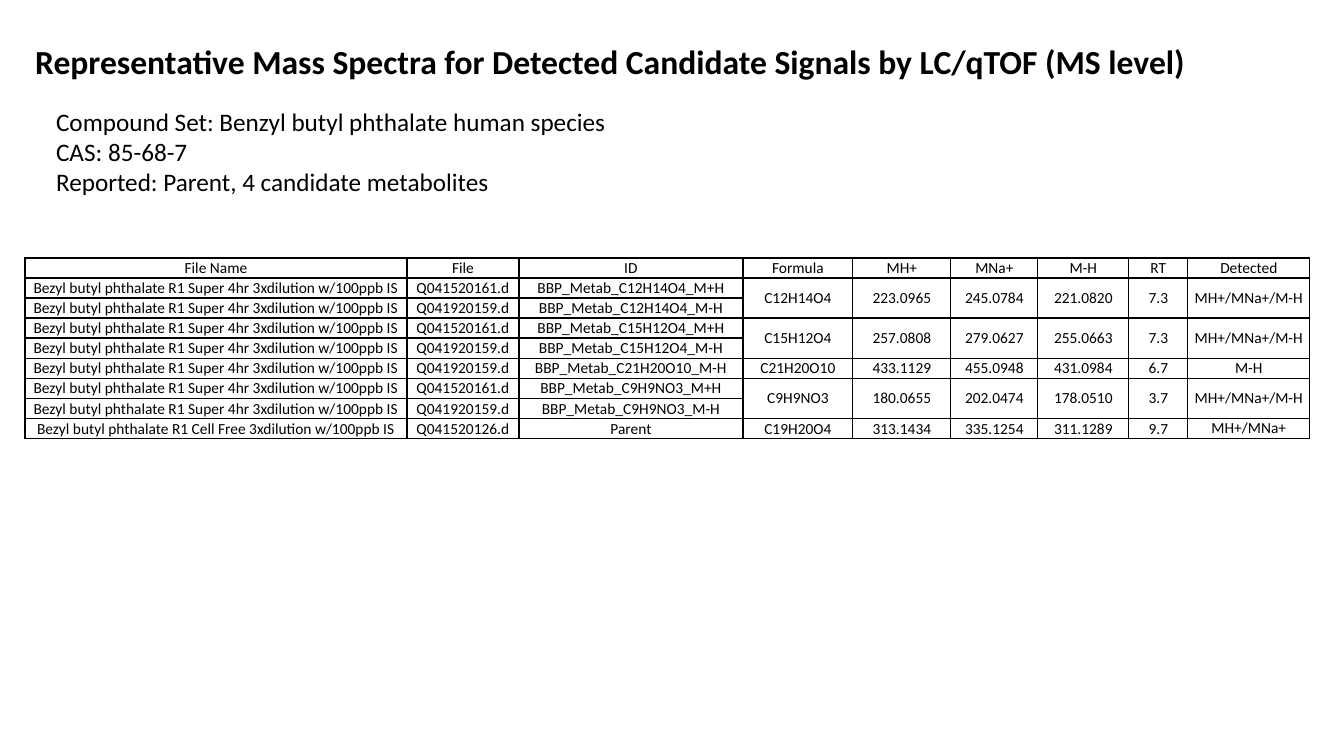
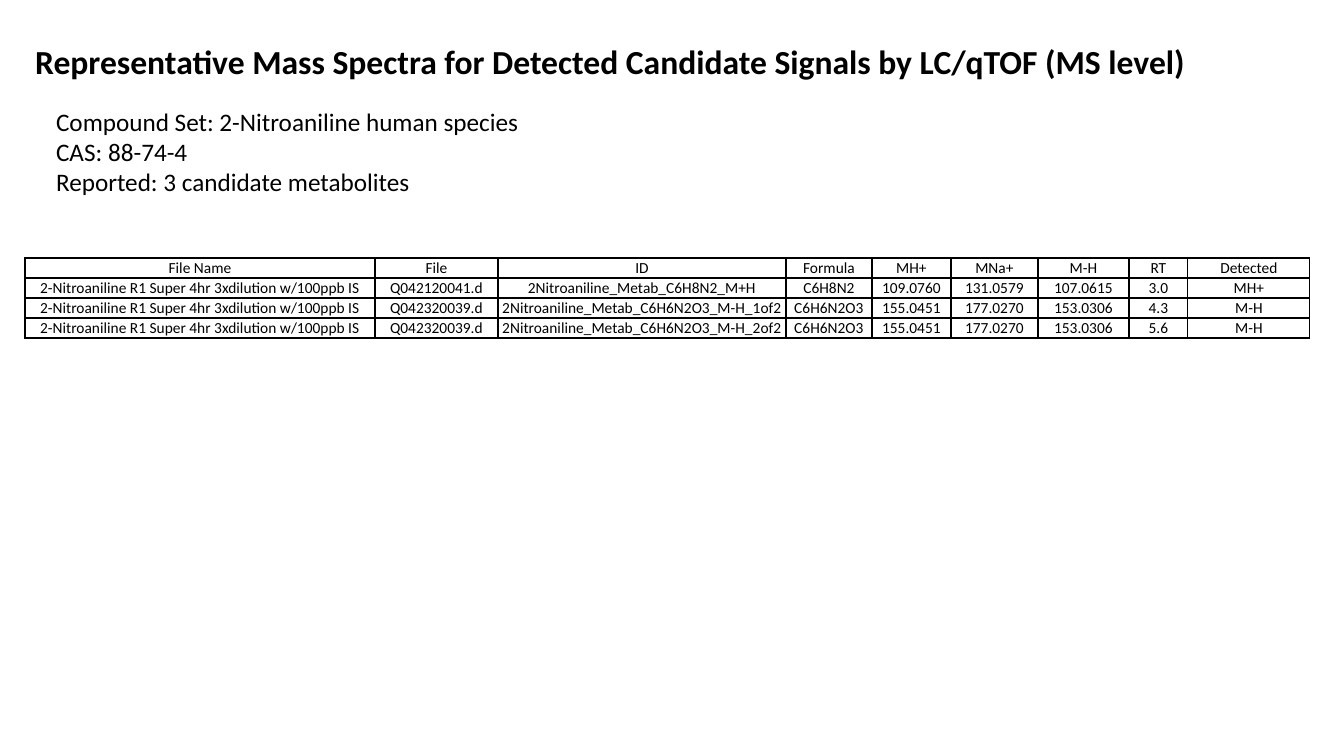
import pptx
import pptx.dml.color
import pptx.enum.text
import pptx.oxml
import pptx.oxml.ns
import pptx.util

PX = 914400 / 100.8
FONT = "Calibri"
BLACK = "000000"
TITLE = "Representative Mass Spectra for Detected Candidate Signals by LC/qTOF (MS level)"
TITLE_BOX = (25, 36, 1285, 50)
SUMMARY_BOX = (46, 101, 750, 132)
TABLE_LEFT, TABLE_TOP, ROW_HEIGHT = 25, 258, 20
BORDER_WIDTH = pptx.util.Pt(1)
HEADER = ("File Name", "File", "ID", "Formula", "MH+", "MNa+", "M-H", "RT", "Detected")
SAMPLE_COLUMNS = 3
LAST_COLUMN = len(HEADER) - 1
MIDDLE = pptx.enum.text.MSO_ANCHOR.MIDDLE
BOTTOM = pptx.enum.text.MSO_ANCHOR.BOTTOM

BENZYL_SUPER = "Bezyl butyl phthalate R1 Super 4hr 3xdilution w/100ppb IS"
BENZYL_CELL_FREE = "Bezyl butyl phthalate R1 Cell Free 3xdilution w/100ppb IS"
NITRO_SUPER = "2-Nitroaniline R1 Super 4hr 3xdilution w/100ppb IS"

COMPOUNDS = [
    {
        "summary": (
            "Compound Set: Benzyl butyl phthalate human species",
            "CAS: 85-68-7",
            "Reported: Parent, 4 candidate metabolites",
        ),
        "widths": (382, 112, 224, 110, 98, 87, 91, 59, 122),
        "anchor": MIDDLE,
        "signals": [
            ([(BENZYL_SUPER, "Q041520161.d", "BBP_Metab_C12H14O4_M+H"),
              (BENZYL_SUPER, "Q041920159.d", "BBP_Metab_C12H14O4_M-H")],
             ("C12H14O4", "223.0965", "245.0784", "221.0820", "7.3", "MH+/MNa+/M-H")),
            ([(BENZYL_SUPER, "Q041520161.d", "BBP_Metab_C15H12O4_M+H"),
              (BENZYL_SUPER, "Q041920159.d", "BBP_Metab_C15H12O4_M-H")],
             ("C15H12O4", "257.0808", "279.0627", "255.0663", "7.3", "MH+/MNa+/M-H")),
            ([(BENZYL_SUPER, "Q041920159.d", "BBP_Metab_C21H20O10_M-H")],
             ("C21H20O10", "433.1129", "455.0948", "431.0984", "6.7", "M-H")),
            ([(BENZYL_SUPER, "Q041520161.d", "BBP_Metab_C9H9NO3_M+H"),
              (BENZYL_SUPER, "Q041920159.d", "BBP_Metab_C9H9NO3_M-H")],
             ("C9H9NO3", "180.0655", "202.0474", "178.0510", "3.7", "MH+/MNa+/M-H")),
            ([(BENZYL_CELL_FREE, "Q041520126.d", "Parent")],
             ("C19H20O4", "313.1434", "335.1254", "311.1289", "9.7", "MH+/MNa+")),
        ],
    },
    {
        "summary": (
            "Compound Set: 2-Nitroaniline human species",
            "CAS: 88-74-4",
            "Reported: 3 candidate metabolites",
        ),
        "widths": (350, 123, 288, 86, 79, 87, 91, 59, 122),
        "anchor": BOTTOM,
        "signals": [
            ([(NITRO_SUPER, "Q042120041.d", "2Nitroaniline_Metab_C6H8N2_M+H")],
             ("C6H8N2", "109.0760", "131.0579", "107.0615", "3.0", "MH+")),
            ([(NITRO_SUPER, "Q042320039.d", "2Nitroaniline_Metab_C6H6N2O3_M-H_1of2")],
             ("C6H6N2O3", "155.0451", "177.0270", "153.0306", "4.3", "M-H")),
            ([(NITRO_SUPER, "Q042320039.d", "2Nitroaniline_Metab_C6H6N2O3_M-H_2of2")],
             ("C6H6N2O3", "155.0451", "177.0270", "153.0306", "5.6", "M-H")),
        ],
    },
]


def px(length):
    """Turn pixels into EMU."""
    return pptx.util.Emu(round(length * PX))


def color(value):
    """Turn a hex string into a colour."""
    return pptx.dml.color.RGBColor.from_string(value)


def apply_format(target, values):
    """Set each attribute of the target from a dict."""
    for name, value in values.items():
        setattr(target, name, value)


def format_span(span, size, bold=False):
    """Give a run its font, size and colour."""
    apply_format(span.font, {"name": FONT, "size": pptx.util.Pt(size), "bold": bold})
    span.font.color.rgb = color(BLACK)


def fill_placeholder(box, place, lines, size, bold=False):
    """Move a placeholder and write plain left-aligned lines in it."""
    apply_format(box, dict(zip(("left", "top", "width", "height"), map(px, place))))
    frame = box.text_frame
    apply_format(frame, {
        "text": "\n".join(lines),
        "word_wrap": True,
        "auto_size": pptx.enum.text.MSO_AUTO_SIZE.NONE,
        "vertical_anchor": pptx.enum.text.MSO_ANCHOR.TOP,
    })
    for para in frame.paragraphs:
        apply_format(para, {
            "alignment": pptx.enum.text.PP_ALIGN.LEFT,
            "space_before": pptx.util.Pt(0),
            "line_spacing": 1.0,
        })
        properties = para._p.get_or_add_pPr()
        properties.set("marL", "0")
        properties.set("indent", "0")
        properties.append(pptx.oxml.parse_xml(
            f"<a:buNone {pptx.oxml.ns.nsdecls('a')}/>"))
        for span in para.runs:
            format_span(span, size, bold)


def add_borders(cell):
    """Draw a thin line on all four sides of a cell."""
    properties = cell._tc.get_or_add_tcPr()
    for position, side in enumerate("LRTB"):
        properties.insert(position, pptx.oxml.parse_xml(
            f'<a:ln{side} {pptx.oxml.ns.nsdecls("a")} w="{BORDER_WIDTH}">'
            f'<a:solidFill><a:srgbClr val="{BLACK}"/></a:solidFill></a:ln{side}>'))


def fill_cell(cell, text, anchor, inset):
    """Write centred text in a bordered cell."""
    apply_format(cell, {
        "text": text,
        "vertical_anchor": anchor,
        "margin_left": px(inset),
        "margin_top": px(inset),
        "margin_right": px(inset),
        "margin_bottom": 0,
    })
    cell.fill.background()
    add_borders(cell)
    para = cell.text_frame.paragraphs[0]
    para.alignment = pptx.enum.text.PP_ALIGN.CENTER
    for span in para.runs:
        format_span(span, 11)


def merge_signals(table, signals):
    """Join the value cells of signals that have several samples."""
    top = 1
    for samples, values in signals:
        bottom = top + len(samples) - 1
        if bottom > top:
            for column in range(SAMPLE_COLUMNS, len(HEADER)):
                table.cell(top, column).merge(table.cell(bottom, column))
        top = bottom + 1


def add_signal_table(slide, widths, anchor, signals):
    """Add the table of detected signals."""
    blank = ("",) * (len(HEADER) - SAMPLE_COLUMNS)
    rows = [HEADER]
    for samples, values in signals:
        rows += [sample + (blank if index else values)
                 for index, sample in enumerate(samples)]
    table = slide.shapes.add_table(
        len(rows), len(HEADER), px(TABLE_LEFT), px(TABLE_TOP),
        px(sum(widths)), px(ROW_HEIGHT * len(rows))).table
    apply_format(table, {"first_row": False, "horz_banding": False})
    for column, width in zip(table.columns, widths):
        column.width = px(width)
    for row_index, texts in enumerate(rows):
        table.rows[row_index].height = px(ROW_HEIGHT)
        for column_index, text in enumerate(texts):
            flush = row_index == 0 or column_index == LAST_COLUMN
            fill_cell(table.cell(row_index, column_index), text,
                      MIDDLE if flush else anchor, 0 if flush else 1)
    merge_signals(table, signals)


def add_compound_slide(deck, compound):
    """Add one slide with title, summary and signal table."""
    slide = deck.slides.add_slide(deck.slide_layouts[1])
    fill_placeholder(slide.shapes.title, TITLE_BOX, [TITLE], 24, True)
    fill_placeholder(slide.placeholders[1], SUMMARY_BOX, compound["summary"], 18)
    add_signal_table(slide, compound["widths"], compound["anchor"], compound["signals"])


def main():
    """Build and save the deck."""
    deck = pptx.Presentation()
    apply_format(deck, {"slide_width": px(1344), "slide_height": px(756)})
    for compound in COMPOUNDS:
        add_compound_slide(deck, compound)
    deck.save("out.pptx")


if __name__ == "__main__":
    main()
